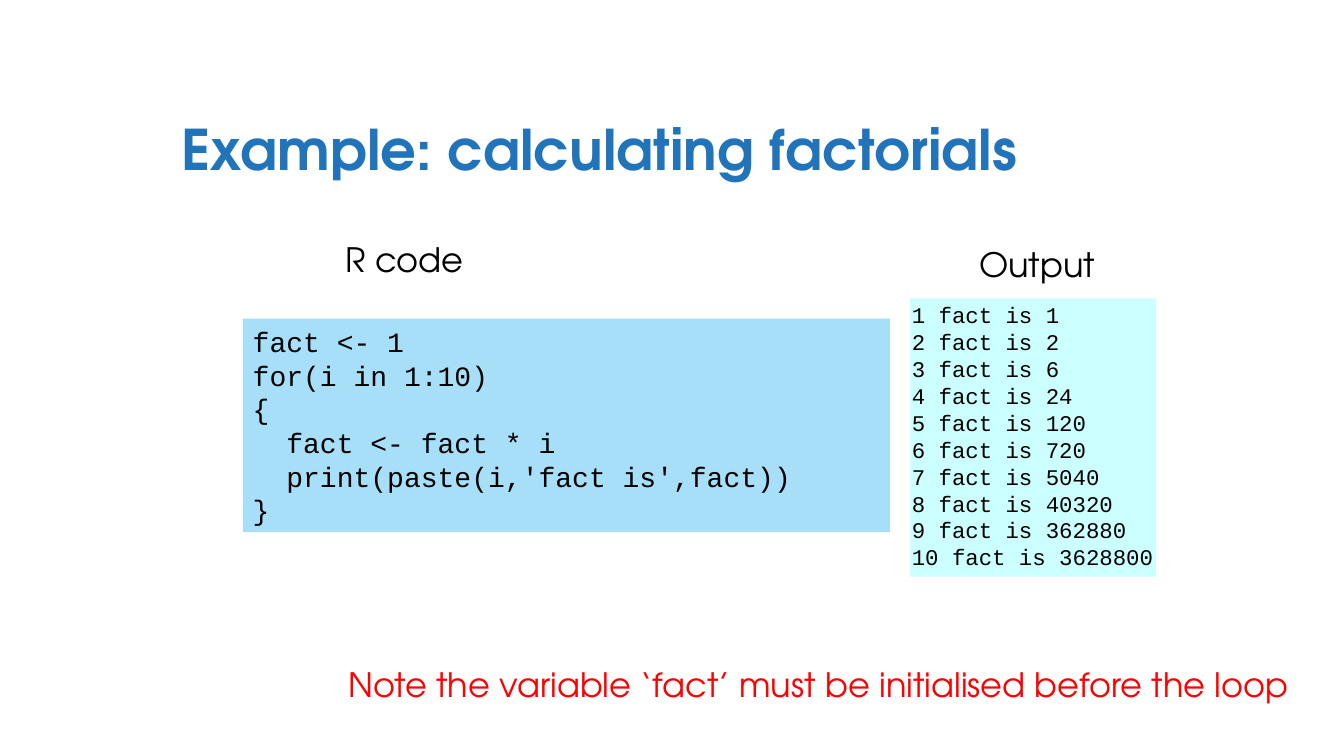
from math import factorial

from pptx import Presentation
from pptx.dml.color import RGBColor
from pptx.enum.shapes import MSO_SHAPE
from pptx.enum.text import MSO_ANCHOR, PP_ALIGN
from pptx.util import Cm, Pt

BLACK = RGBColor(0x00, 0x00, 0x00)
BLUE = RGBColor(0x21, 0x73, 0xBA)
RED = RGBColor(0xFF, 0x00, 0x00)
CODE_FILL = RGBColor(0xA7, 0xDE, 0xF8)
OUTPUT_FILL = RGBColor(0xCC, 0xFF, 0xFF)
SANS = "TeX Gyre Adventor"
MONO = "Courier New"

presentation = Presentation()
presentation.slide_width = Cm(33.87)
presentation.slide_height = Cm(19.05)
slide = presentation.slides.add_slide(presentation.slide_layouts[6])


def add_text(lines, left, top, width, height, size=24, font=SANS, color=BLACK,
             bold=False, align=PP_ALIGN.LEFT, wrap=False, spacing=None, fill=None):
    """Add one paragraph per line, in a filled rectangle if a fill is given."""
    box = Cm(left), Cm(top), Cm(width), Cm(height)
    if fill is None:
        shape = slide.shapes.add_textbox(*box)
    else:
        shape = slide.shapes.add_shape(MSO_SHAPE.RECTANGLE, *box)
        shape.shadow.inherit = False
        shape.fill.solid()
        shape.fill.fore_color.rgb = fill
        shape.line.fill.background()
    frame = shape.text_frame
    frame.word_wrap = wrap
    frame.vertical_anchor = MSO_ANCHOR.MIDDLE
    for index, line in enumerate(lines):
        paragraph = frame.add_paragraph() if index else frame.paragraphs[0]
        paragraph.alignment = align
        paragraph.line_spacing = spacing
        run = paragraph.add_run()
        run.text = line
        run.font.name = font
        run.font.size = Pt(size)
        run.font.bold = bold
        run.font.color.rgb = color


# R code panel
code_lines = [
    "fact <- 1",
    "for(i in 1:10)",
    "{",
    "  fact <- fact * i",
    "  print(paste(i,'fact is',fact))",
    "}",
]
add_text(code_lines, 6.12, 8.03, 16.31, 5.38, size=20, font=MONO,
         wrap=True, spacing=Pt(24), fill=CODE_FILL)

# Title
add_text(["Example: calculating factorials"], 4.32, 2.13, 24.99, 3.18,
         size=40, color=BLUE, bold=True, wrap=True)

# Output panel with the printed factorials
add_text([], 22.94, 7.52, 6.2, 7.01, fill=OUTPUT_FILL)
output_lines = [f"{i} fact is {factorial(i)}" for i in range(1, 11)]
add_text(output_lines, 22.73, 7.44, 6.68, 7.09, size=16, font=MONO,
         spacing=Pt(19.2))

# Panel headings
add_text(["Output"], 24.41, 6.02, 3.45, 1.27, align=PP_ALIGN.CENTER)
add_text(["R code"], 8.43, 5.89, 3.53, 1.27, align=PP_ALIGN.CENTER)

# Note
add_text(["Note the variable ‘fact’ must be initialised before the loop"],
         8.53, 16.61, 24.54, 1.27, color=RED)

presentation.save("out.pptx")
